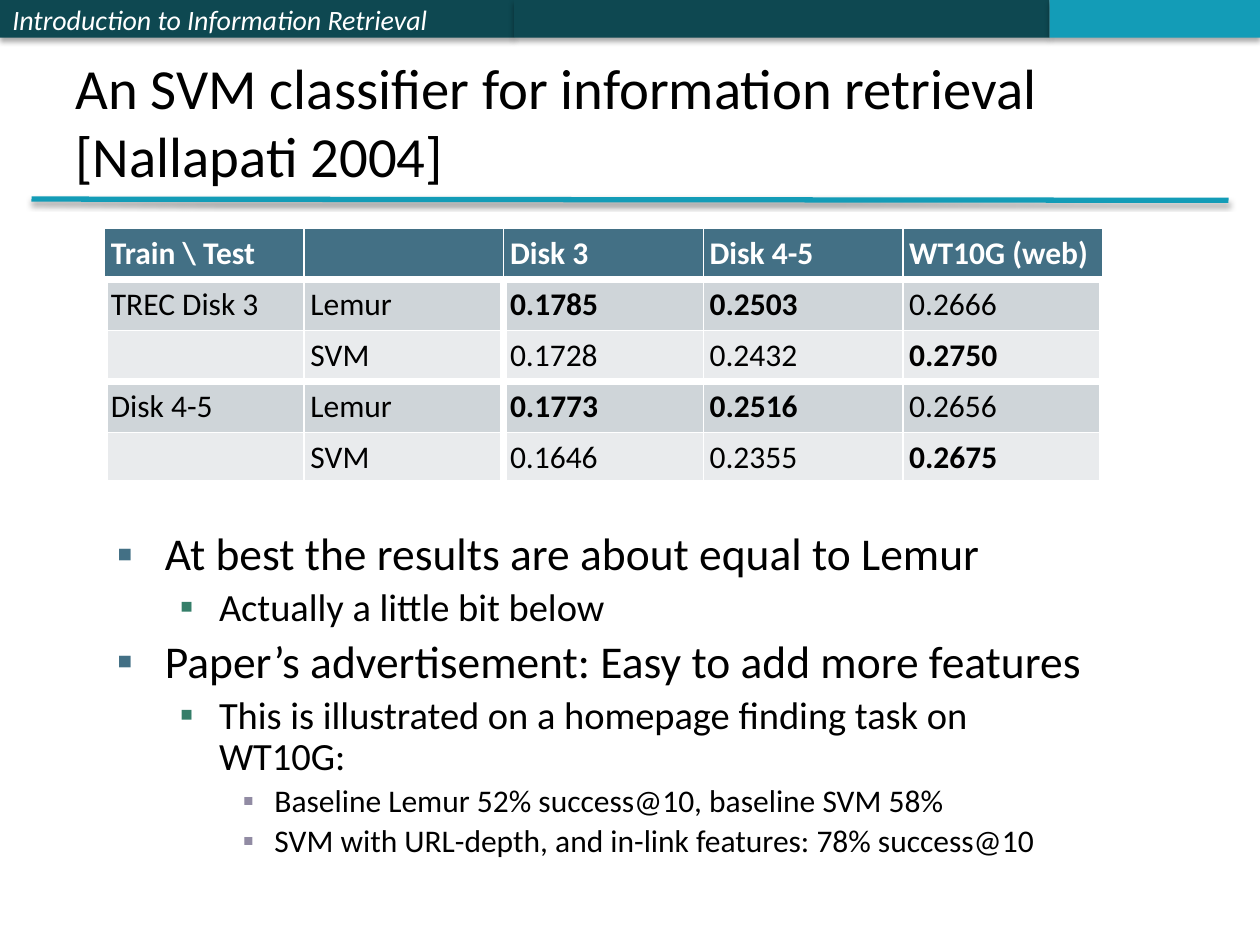
import pptx
import pptx.util
import pptx.dml.color
import pptx.enum.shapes
import pptx.enum.text
import pptx.oxml
import pptx.oxml.ns
from lxml import etree

Inches = pptx.util.Inches
Pt = pptx.util.Pt
RGB = pptx.dml.color.RGBColor
qn = pptx.oxml.ns.qn

FONT = "Calibri"
WHITE = RGB(0xFF, 0xFF, 0xFF)
BLACK = RGB(0, 0, 0)
DARK_TEAL = RGB(0x0E, 0x48, 0x51)
CYAN = RGB(0x13, 0x9C, 0xB7)
SLATE = RGB(0x43, 0x70, 0x85)
GREEN = RGB(0x35, 0x7E, 0x69)
MAUVE = RGB(0x91, 0x8B, 0xA3)
BAND_DARK = RGB(0xCF, 0xD5, 0xD9)
BAND_LIGHT = RGB(0xE9, 0xEB, 0xED)


def style(p, size, color, bold=False, italic=False):
    for r in p.runs:
        r.font.name = FONT
        r.font.size = Pt(size)
        r.font.color.rgb = color
        r.font.bold = bold
        r.font.italic = italic


def add_shadow(sp, opacity):
    effects = etree.SubElement(sp._element.spPr, qn("a:effectLst"))
    shadow = etree.SubElement(effects, qn("a:outerShdw"), blurRad=str(Pt(3.1)),
                              dist=str(Pt(1.8)), dir="5400000", rotWithShape="0")
    color = etree.SubElement(shadow, qn("a:srgbClr"), val=str(BLACK))
    etree.SubElement(color, qn("a:alpha"), val=str(opacity * 1000))


prs = pptx.Presentation()
prs.slide_width = Inches(10)
prs.slide_height = Inches(7.5)
s = prs.slides.add_slide(prs.slide_layouts[5])

bars = [(0, 4.08, DARK_TEAL, "Introduction to Information Retrieval"),
        (4.08, 4.25, DARK_TEAL, ""),
        (8.33, 1.67, CYAN, "")]
for x, w, color, text in bars:
    sp = s.shapes.add_shape(pptx.enum.shapes.MSO_SHAPE.RECTANGLE,
                            Inches(x), 0, Inches(w), Inches(0.3))
    sp.fill.solid()
    sp.fill.fore_color.rgb = color
    sp.line.fill.background()
    add_shadow(sp, 35)
    if text:
        tf = sp.text_frame
        tf.text = text
        tf.vertical_anchor = pptx.enum.text.MSO_ANCHOR.MIDDLE
        tf.paragraphs[0].alignment = pptx.enum.text.PP_ALIGN.LEFT
        style(tf.paragraphs[0], 16, WHITE, italic=True)

rule = s.shapes.add_connector(pptx.enum.shapes.MSO_CONNECTOR.STRAIGHT,
                              Inches(0.25), Inches(1.58), Inches(9.75), Inches(1.59))
rule.line.color.rgb = CYAN
rule.line.width = Pt(3)
add_shadow(rule, 38)

title = s.shapes.title
title.left, title.top = Inches(0.5), Inches(0.3)
title.width, title.height = Inches(9), Inches(1.25)
tf = title.text_frame
tf.text = "An SVM classifier for information retrieval [Nallapati 2004]"
tf.word_wrap = True
tf.auto_size = pptx.enum.text.MSO_AUTO_SIZE.NONE
tf.vertical_anchor = pptx.enum.text.MSO_ANCHOR.BOTTOM
tf.paragraphs[0].alignment = pptx.enum.text.PP_ALIGN.LEFT
style(tf.paragraphs[0], 32.4, BLACK)

rows = [["Train \\ Test", "", "Disk 3", "Disk 4-5", "WT10G (web)"],
        ["TREC Disk 3", "Lemur", "0.1785", "0.2503", "0.2666"],
        ["", "SVM", "0.1728", "0.2432", "0.2750"],
        ["Disk 4-5", "Lemur", "0.1773", "0.2516", "0.2656"],
        ["", "SVM", "0.1646", "0.2355", "0.2675"]]
best = {"0.1785", "0.2503", "0.2750", "0.1773", "0.2516", "0.2675"}
table = s.shapes.add_table(len(rows), len(rows[0]), Inches(0.83), Inches(1.81),
                           Inches(7.92), Inches(2.03)).table
for i, row in enumerate(rows):
    for j, text in enumerate(row):
        cell = table.cell(i, j)
        cell.margin_left = cell.margin_right = Inches(0.05)
        cell.margin_top = cell.margin_bottom = Inches(0.05)
        cell.text = text
        header = i == 0
        style(cell.text_frame.paragraphs[0], 18, WHITE if header else BLACK,
              bold=header or text in best)
        thick = {"lnL": not header and j in (0, 2),
                 "lnR": not header and j in (1, 4),
                 "lnT": i in (1, 3),
                 "lnB": i in (0, 2, 4)}
        for side, is_thick in thick.items():
            ln = etree.SubElement(cell._tc.get_or_add_tcPr(), qn("a:" + side),
                                  w=str(Pt(4.5 if is_thick else 1)))
            fill = etree.SubElement(ln, qn("a:solidFill"))
            etree.SubElement(fill, qn("a:srgbClr"), val=str(WHITE))
        cell.fill.solid()
        cell.fill.fore_color.rgb = SLATE if header else BAND_DARK if i % 2 else BAND_LIGHT

levels = [(26, 0.38, 0.38, SLATE), (22, 0.81, 0.31, GREEN), (18, 1.25, 0.25, MAUVE)]
points = [(0, "At best the results are about equal to Lemur"),
          (1, "Actually a little bit below"),
          (0, "Paper’s advertisement: Easy to add more features"),
          (1, "This is illustrated on a homepage finding task on WT10G:"),
          (2, "Baseline Lemur 52% success@10, baseline SVM 58%"),
          (2, "SVM with URL-depth, and in-link features: 78% success@10")]
tf = s.shapes.add_textbox(Inches(0.83), Inches(4.17), Inches(7.92), Inches(2.92)).text_frame
tf.word_wrap = True
for i, (level, text) in enumerate(points):
    size, margin, hang, color = levels[level]
    p = tf.add_paragraph() if i else tf.paragraphs[0]
    p.text = text
    p.level = level
    pPr = p._p.get_or_add_pPr()
    pPr.set("marL", str(Inches(margin)))
    pPr.set("indent", str(-Inches(hang)))
    bullet_color = etree.SubElement(pPr, qn("a:buClr"))
    etree.SubElement(bullet_color, qn("a:srgbClr"), val=str(color))
    etree.SubElement(pPr, qn("a:buFont"), typeface=FONT)
    etree.SubElement(pPr, qn("a:buChar"), char="▪")
    p.line_spacing = 0.9
    p.space_before = Pt(size * 0.2 if i else 0)
    style(p, size, BLACK)

prs.save("out.pptx")
